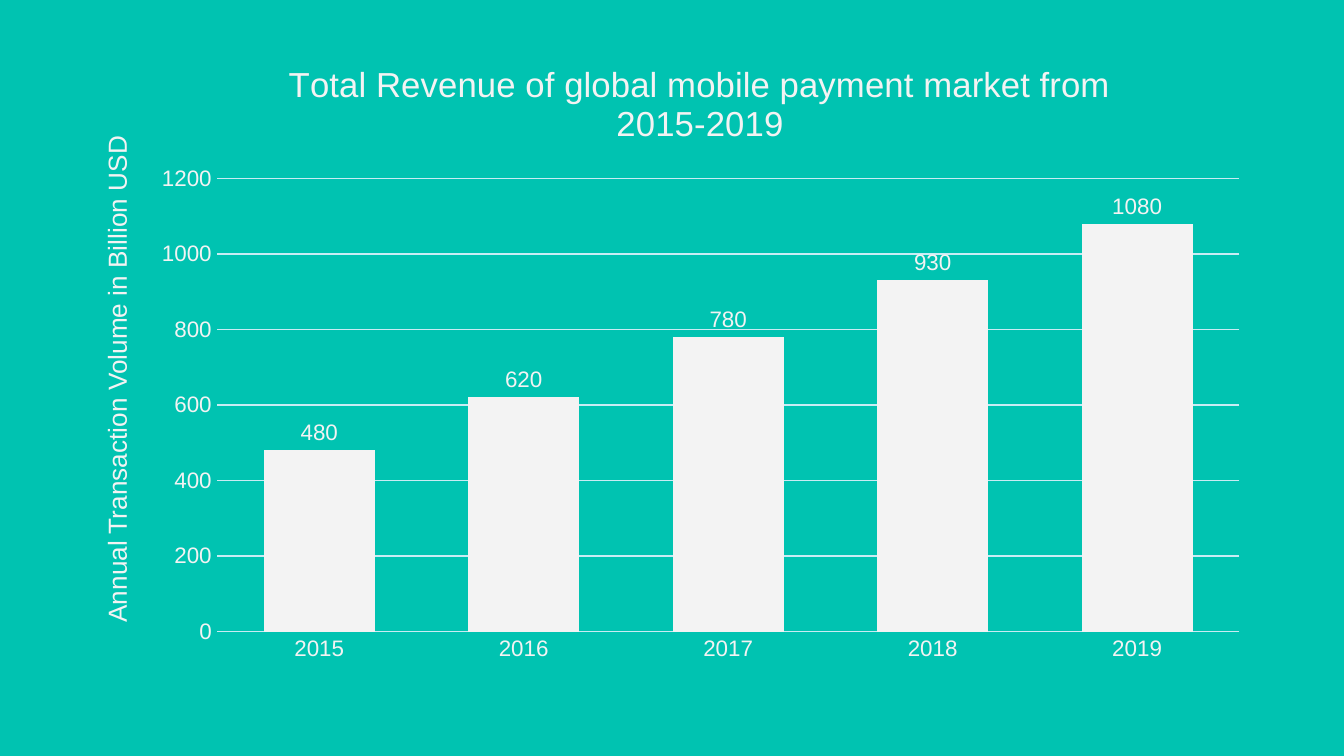
from lxml import etree
from pptx import Presentation
from pptx.chart.data import CategoryChartData
from pptx.dml.color import RGBColor
from pptx.enum.chart import XL_CHART_TYPE, XL_LABEL_POSITION, XL_TICK_MARK
from pptx.enum.text import MSO_AUTO_SIZE
from pptx.oxml.ns import qn
from pptx.util import Inches, Pt

TEAL, PALE, GRID = "00C3B1", "F3F3F3", "C8ECF4"


def color(hex_value):
    return RGBColor.from_string(hex_value)


def style(font, size):
    font.name = "Arial"
    font.size = Pt(size)
    font.bold = False
    font.color.rgb = color(PALE)


# Widescreen slide, 16:9
presentation = Presentation()
presentation.slide_width = Inches(10)
presentation.slide_height = Inches(10 * 9 / 16)
slide = presentation.slides.add_slide(presentation.slide_layouts[6])
slide.background.fill.solid()
slide.background.fill.fore_color.rgb = color(TEAL)

# Revenue chart
revenue = CategoryChartData()
revenue.categories = ["2015", "2016", "2017", "2018", "2019"]
revenue.add_series("Series 1", [480, 620, 780, 930, 1080])
chart = slide.shapes.add_chart(
    XL_CHART_TYPE.COLUMN_CLUSTERED,
    Inches(1.03), Inches(0.26), Inches(8.36), Inches(4.75), revenue,
).chart
style(chart.font, 12)
chart.has_legend = False

# Chart title
chart.has_title = True
title = chart.chart_title.text_frame
title.text = "Total Revenue of global mobile payment market from 2015-2019"
style(title.paragraphs[0].font, 18.6)
chart.chart_title.include_in_layout = False

# Plot area position, as fractions of the chart
plot_area = chart.plots[0]._element.getparent()
layout = plot_area.find(qn("c:layout"))
if layout is None:
    layout = etree.Element(qn("c:layout"))
    plot_area.insert(0, layout)
manual = etree.SubElement(layout, qn("c:manualLayout"))
for tag, value in [("layoutTarget", "inner"), ("xMode", "edge"), ("yMode", "edge"),
                   ("x", "0.07"), ("y", "0.225"), ("w", "0.91"), ("h", "0.71")]:
    etree.SubElement(manual, qn(f"c:{tag}")).set("val", value)

# Columns and value labels
columns = chart.plots[0]
columns.gap_width = 84
columns.overlap = -27
columns.vary_by_categories = False
bars = columns.series[0].format.fill
bars.solid()
bars.fore_color.rgb = color(PALE)
columns.has_data_labels = True
labels = columns.data_labels
labels.show_value = True
labels.position = XL_LABEL_POSITION.OUTSIDE_END
style(labels.font, 12)

# Axes and gridlines
years, volumes = chart.category_axis, chart.value_axis
for axis in (years, volumes):
    axis.major_tick_mark = XL_TICK_MARK.NONE
    axis.minor_tick_mark = XL_TICK_MARK.NONE
    style(axis.tick_labels.font, 12)
volumes.minimum_scale, volumes.maximum_scale, volumes.major_unit = 0, 1200, 200
volumes.has_major_gridlines = True
volumes.format.line.fill.background()
for line in (years.format.line, volumes.major_gridlines.format.line):
    line.color.rgb = color(GRID)
    line.width = Pt(0.75)

# Rotated caption of the value axis
caption = slide.shapes.add_textbox(Inches(-1.23), Inches(2.46), Inches(4.2), Inches(0.34))
caption.rotation = 270
caption.text_frame.word_wrap = True
caption.text_frame.auto_size = MSO_AUTO_SIZE.SHAPE_TO_FIT_TEXT
caption.text_frame.text = "Annual Transaction Volume in Billion USD"
style(caption.text_frame.paragraphs[0].font, 14)

presentation.save("out.pptx")
